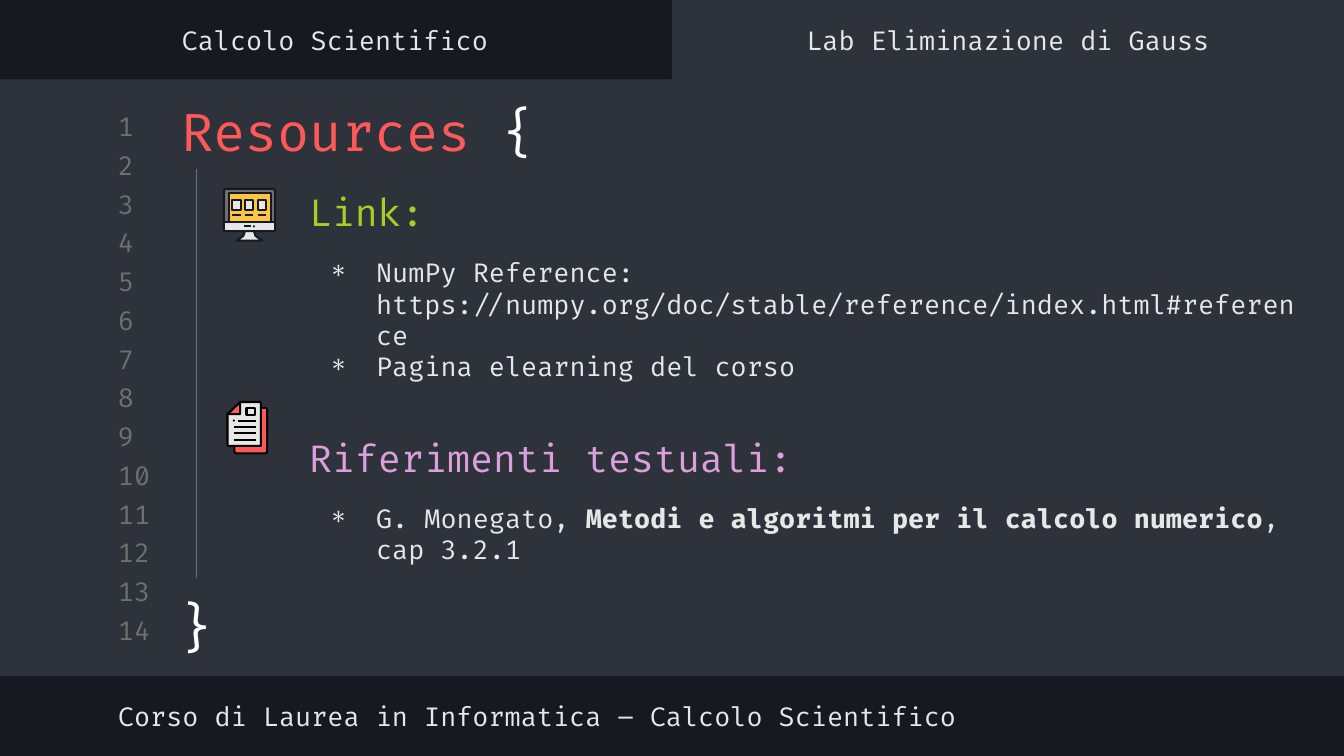
from dataclasses import dataclass

from lxml import etree
from pptx import Presentation
from pptx import util as u
from pptx.dml.color import RGBColor
from pptx.enum import shapes, text
from pptx.oxml import ns
from pptx.util import Cm


@dataclass(frozen=True)
class Theme:
    font: str = "Fira Code"
    dark: str = "16191F"
    panel: str = "2E323B"
    grey: str = "707070"
    light: str = "E7E7E7"
    white: str = "FFFFFF"
    black: str = "000000"
    red: str = "FF5858"
    green: str = "A5CF27"
    violet: str = "DBA0DB"
    yellow: str = "FCC642"
    title: int = 28
    heading: int = 20
    body: int = 14


T = Theme()
RECT = shapes.MSO_SHAPE.RECTANGLE
ROUND = shapes.MSO_SHAPE.ROUNDED_RECTANGLE
OVAL = shapes.MSO_SHAPE.OVAL


def cm(*values):
    return [Cm(v) for v in values]


def rgb(colour):
    return RGBColor.from_string(colour)


def add_run(p, words, colour=T.light, size=T.body, bold=False):
    r = p.add_run()
    r.text = words
    fmt = {"name": T.font, "size": u.Pt(size), "bold": bold}
    for key, value in fmt.items():
        setattr(r.font, key, value)
    r.font.color.rgb = rgb(colour)


def set_frame(sp, anchor=text.MSO_ANCHOR.TOP):
    tf = sp.text_frame
    fmt = {"word_wrap": True, "auto_size": text.MSO_AUTO_SIZE.NONE,
           "vertical_anchor": anchor}
    fmt.update({f"margin_{side}": Cm(0.25) for side in ("left", "top", "right", "bottom")})
    for key, value in fmt.items():
        setattr(tf, key, value)
    return tf


def add_label(s, words, box, colour=T.light, size=T.body,
              align=text.PP_ALIGN.LEFT, anchor=text.MSO_ANCHOR.MIDDLE):
    tf = set_frame(s.shapes.add_textbox(*cm(*box)), anchor)
    p = tf.paragraphs[0]
    p.alignment = align
    add_run(p, words, colour, size)


def add_bullet(p):
    pPr = p._p.get_or_add_pPr()
    pPr.set("marL", str(Cm(1.27)))
    pPr.set("indent", str(Cm(-0.89)))
    colour = etree.SubElement(pPr, ns.qn("a:buClr"))
    etree.SubElement(colour, ns.qn("a:srgbClr")).set("val", T.light)
    etree.SubElement(pPr, ns.qn("a:buChar")).set("char", "∗")


def paint(sp, fill, line=None):
    sp.shadow.inherit = False
    sp.fill.solid()
    sp.fill.fore_color.rgb = rgb(fill)
    if line:
        sp.line.color.rgb = rgb(line)
        sp.line.width = u.Pt(1.1)
    else:
        sp.line.fill.background()


def add_block(s, kind, box, fill, line=None):
    sp = s.shapes.add_shape(kind, *cm(*box))
    if kind == ROUND:
        sp.adjustments[0] = 0.06
    paint(sp, fill, line)


def add_outline(s, points, fill, line):
    start, *rest = [tuple(cm(*point)) for point in points]
    builder = s.shapes.build_freeform(*start)
    builder.add_line_segments(rest, close=True)
    paint(builder.convert_to_shape(), fill, line)


def add_line(s, x1, y1, x2, y2, colour, width=1.1):
    c = s.shapes.add_connector(shapes.MSO_CONNECTOR.STRAIGHT, *cm(x1, y1, x2, y2))
    c.line.color.rgb = rgb(colour)
    c.line.width = u.Pt(width)
    etree.SubElement(c._element.spPr, ns.qn("a:effectLst"))


def add_title(s):
    sp = s.shapes.title
    # Bring the title in front of the panel
    sp._element.getparent().append(sp._element)
    sp.left, sp.top, sp.width, sp.height = cm(3.18, 1.63, 20.24, 1.5)
    p = set_frame(sp).paragraphs[0]
    p.alignment = text.PP_ALIGN.LEFT
    add_run(p, "Resources ", T.red, T.title)
    add_run(p, "{", T.white, T.title)


def add_resources(s):
    # Each entry: space before in points, bulleted, runs
    entries = [
        (0, False, [("Link:", T.green, T.heading)]),
        (12, True, [("NumPy Reference: "
                     "https://numpy.org/doc/stable/reference/index.html#reference",)]),
        (0, True, [("Pagina elearning del corso",)]),
        (28.5, False, [("Riferimenti testuali:", T.violet, T.heading)]),
        (12, True, [("G. Monegato, ",),
                    ("Metodi e algoritmi per il calcolo numerico", T.light, T.body, True),
                    (", cap 3.2.1",)]),
    ]
    tf = set_frame(s.shapes.add_textbox(*cm(5.59, 3.33, 19.38, 7.59)))
    for i, (before, bulleted, runs) in enumerate(entries):
        p = tf.add_paragraph() if i else tf.paragraphs[0]
        if before:
            p.space_before = u.Pt(before)
        if bulleted:
            add_bullet(p)
        for run in runs:
            add_run(p, *run)


def add_monitor_icon(s):
    add_block(s, ROUND, (4.23, 3.57, 0.97, 0.8), T.grey, T.dark)
    add_block(s, RECT, (4.32, 3.65, 0.8, 0.55), T.yellow, T.dark)
    add_block(s, RECT, (4.23, 4.2, 0.97, 0.17), T.light, T.dark)
    for i in range(3):
        x = 4.39 + 0.24 * i
        add_block(s, RECT, (x, 3.79, 0.16, 0.19), T.light, T.dark)
        add_line(s, x, 4.06, x + 0.16, 4.06, T.dark)
    add_line(s, 4.62, 4.28, 4.74, 4.28, T.dark)
    add_block(s, OVAL, (4.78, 4.26, 0.04, 0.04), T.dark)
    add_outline(s, [(4.63, 4.37), (4.8, 4.37), (4.83, 4.46), (4.96, 4.55),
                    (4.47, 4.55), (4.6, 4.46)], T.light, T.dark)


def add_document_icon(s):
    add_block(s, ROUND, (4.43, 7.71, 0.62, 0.86), T.red, T.black)
    add_outline(s, [(4.54, 7.6), (4.93, 7.6), (4.93, 8.43), (4.3, 8.43),
                    (4.3, 7.83)], T.light, T.black)
    add_outline(s, [(4.54, 7.6), (4.54, 7.83), (4.3, 7.83)], T.red, T.black)
    add_block(s, RECT, (4.66, 7.71, 0.16, 0.13), T.light, T.black)
    add_block(s, OVAL, (4.4, 7.93, 0.04, 0.04), T.black)
    for i in range(4):
        y = 7.95 + 0.12 * i
        add_line(s, 4.42 if i else 4.5, y, 4.83, y, T.black)


def main():
    prs = Presentation()
    prs.slide_width, prs.slide_height = cm(25.4, 14.29)
    s = prs.slides.add_slide(prs.slide_layouts[5])

    # Editor window: background, panel and active tab
    s.background.fill.solid()
    s.background.fill.fore_color.rgb = rgb(T.dark)
    add_block(s, RECT, (0, 1.5, 25.4, 11.28), T.panel)
    add_block(s, RECT, (12.7, 0, 12.7, 1.75), T.panel)

    # Line numbers, spread evenly from first to last
    first, last, count = 2.08, 11.6, 14
    pitch = (last - first) / (count - 1)
    for i in range(count):
        add_label(s, str(i + 1), (1.98, first + pitch * i, 1.19, 0.61), T.grey)

    # Title and resources
    add_title(s)
    add_resources(s)

    # Footer and tab names
    add_label(s, "Corso di Laurea in Informatica – Calcolo Scientifico",
              (1.98, 13.04, 16.66, 0.99))
    tabs = {"Calcolo Scientifico": -0.02, "Lab Eliminazione di Gauss": 12.7}
    for name, left in tabs.items():
        add_label(s, name, (left, 0.26, 12.7, 0.99), align=text.PP_ALIGN.CENTER)

    # Closing brace and block guide
    add_label(s, "}", (3.02, 10.98, 1.4, 1.7), T.white, T.title,
              text.PP_ALIGN.CENTER, text.MSO_ANCHOR.TOP)
    add_line(s, 3.71, 3.2, 3.71, 10.92, T.grey, 0.75)

    # Icons
    add_monitor_icon(s)
    add_document_icon(s)

    prs.save("out.pptx")


if __name__ == "__main__":
    main()
